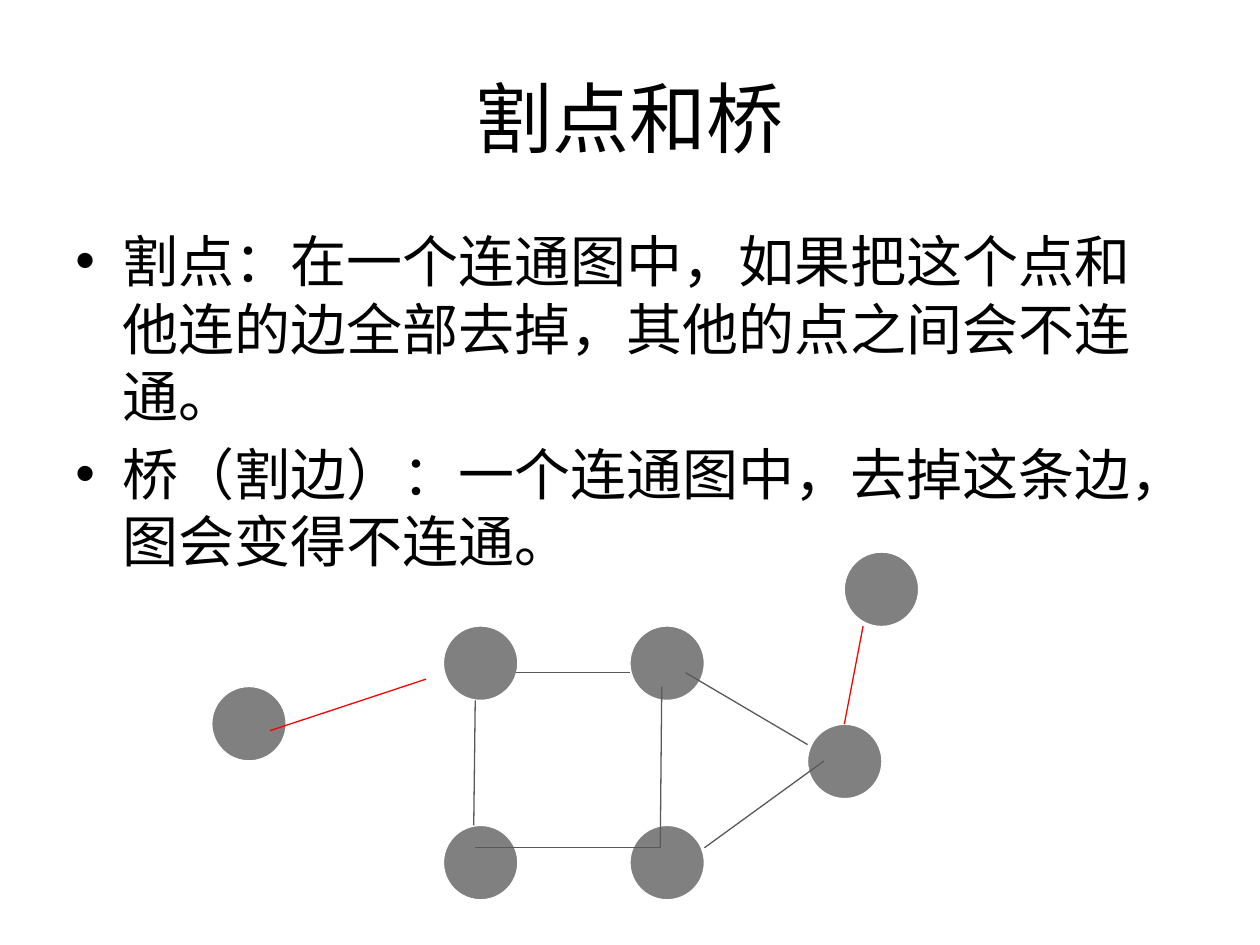
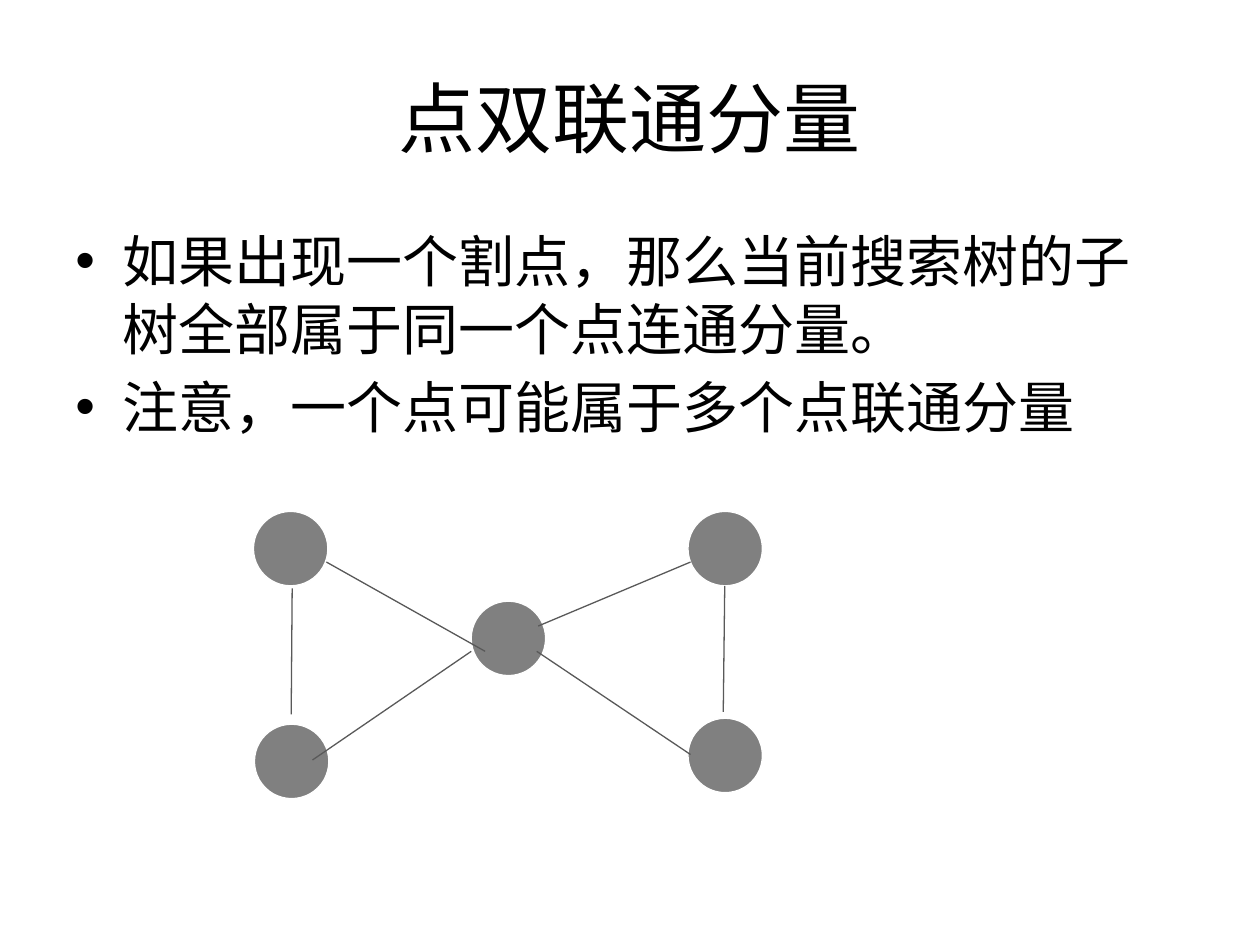
from lxml import etree
from pptx import Presentation
from pptx.dml.color import RGBColor
from pptx.enum.shapes import MSO_CONNECTOR, MSO_SHAPE
from pptx.enum.text import MSO_ANCHOR, PP_ALIGN
from pptx.oxml.ns import qn
from pptx.util import Cm, Pt

STRAIGHT = MSO_CONNECTOR.STRAIGHT
OVAL = MSO_SHAPE.OVAL
TOP, MIDDLE = MSO_ANCHOR.TOP, MSO_ANCHOR.MIDDLE
LEFT, CENTER = PP_ALIGN.LEFT, PP_ALIGN.CENTER

COLORS = {
    "text": "000000",
    "background": "FFFFFF",
    "node": "808080",
    "node_line": "FFFFFF",
    "edge": "595959",
    "bridge": "FF0000",
}
FONT = "Calibri"
MARGIN, TEXT_WIDTH = 1.27, 22.86
NODE_SIZE = 1.5
LINE_WIDTH = Pt(0.75)
BULLET_INDENT = Cm(0.95)


def color(name):
    return RGBColor.from_string(COLORS[name])


def add_text(slide, paragraphs, top, height, size, align=LEFT, anchor=TOP,
             bullet=None, space_before=0):
    box = slide.shapes.add_textbox(Cm(MARGIN), Cm(top), Cm(TEXT_WIDTH), Cm(height))
    frame = box.text_frame
    frame.word_wrap = True
    frame.vertical_anchor = anchor
    for index, text in enumerate(paragraphs):
        paragraph = frame.paragraphs[0] if index == 0 else frame.add_paragraph()
        paragraph.alignment = align
        paragraph.space_before = Pt(space_before)
        run = paragraph.add_run()
        run.text = text
        run.font.name = FONT
        run.font.size = Pt(size)
        run.font.color.rgb = color("text")
        if bullet:
            properties = paragraph._p.get_or_add_pPr()
            properties.set("marL", str(BULLET_INDENT))
            properties.set("indent", str(-BULLET_INDENT))
            etree.SubElement(properties, qn("a:buFont"), typeface="Arial")
            etree.SubElement(properties, qn("a:buChar"), char=bullet)


# Content: nodes are (left, top), edges (x1, y1, x2, y2), all in cm
TOPICS = [
    {
        "title": "割点和桥",
        "points": [
            "割点：在一个连通图中，如果把这个点和他连的边全部去掉，其他的点之间会不连通。",
            "桥（割边）：一个连通图中，去掉这条边，图会变得不连通。",
        ],
        "nodes": [(8.94, 12.62), (12.7, 12.62), (16.28, 14.6), (17.02, 11.13),
                  (8.94, 16.64), (12.7, 16.64), (4.27, 13.84)],
        "edges": [
            (10.41, 13.56, 12.7, 13.56),
            (16.28, 15.01, 13.82, 13.56),
            (9.55, 16.64, 9.58, 14.12),
            (13.31, 17.09, 13.34, 13.84),
            (13.31, 17.09, 9.58, 17.09),
            (14.2, 17.09, 16.61, 15.34),
        ],
        "bridges": [(5.44, 14.73, 8.59, 13.69), (17.02, 14.6, 17.4, 12.62)],
    },
    {
        "title": "点双联通分量",
        "points": [
            "如果出现一个割点，那么当前搜索树的子树全部属于同一个点连通分量。",
            "注意，一个点可能属于多个点联通分量",
        ],
        "nodes": [(5.11, 10.31), (5.13, 14.6), (9.5, 12.12),
                  (13.87, 10.31), (13.87, 14.48)],
        "edges": [
            (6.3, 15.32, 9.5, 13.13),
            (5.87, 14.4, 5.89, 11.86),
            (14.58, 14.35, 14.61, 11.81),
            (9.78, 13.13, 6.58, 11.33),
            (13.92, 15.21, 10.82, 13.13),
            (10.85, 12.62, 13.92, 11.33),
        ],
        "bridges": [],
    },
]

deck = Presentation()
deck.slide_width, deck.slide_height = Cm(25.4), Cm(19.05)
blank_layout = deck.slide_layouts[6]

for topic in TOPICS:
    slide = deck.slides.add_slide(blank_layout)
    slide.background.fill.solid()
    slide.background.fill.fore_color.rgb = color("background")

    # Title and bullet points
    add_text(slide, [topic["title"]], 0.76, 3.18, 44, align=CENTER, anchor=MIDDLE)
    add_text(slide, topic["points"], 4.45, 12.57, 32, bullet="•", space_before=6.4)

    # Graph nodes
    for left, top in topic["nodes"]:
        node = slide.shapes.add_shape(OVAL, Cm(left), Cm(top),
                                      Cm(NODE_SIZE), Cm(NODE_SIZE))
        node.shadow.inherit = False
        node.fill.solid()
        node.fill.fore_color.rgb = color("node")
        node.line.color.rgb = color("node_line")
        node.line.width = LINE_WIDTH

    # Graph edges, bridges in their own colour
    for kind, lines in (("edge", topic["edges"]), ("bridge", topic["bridges"])):
        for ends in lines:
            edge = slide.shapes.add_connector(STRAIGHT, *[Cm(end) for end in ends])
            edge.line.color.rgb = color(kind)
            edge.line.width = LINE_WIDTH
            etree.SubElement(edge._element.spPr, qn("a:effectLst"))

deck.save("out.pptx")
